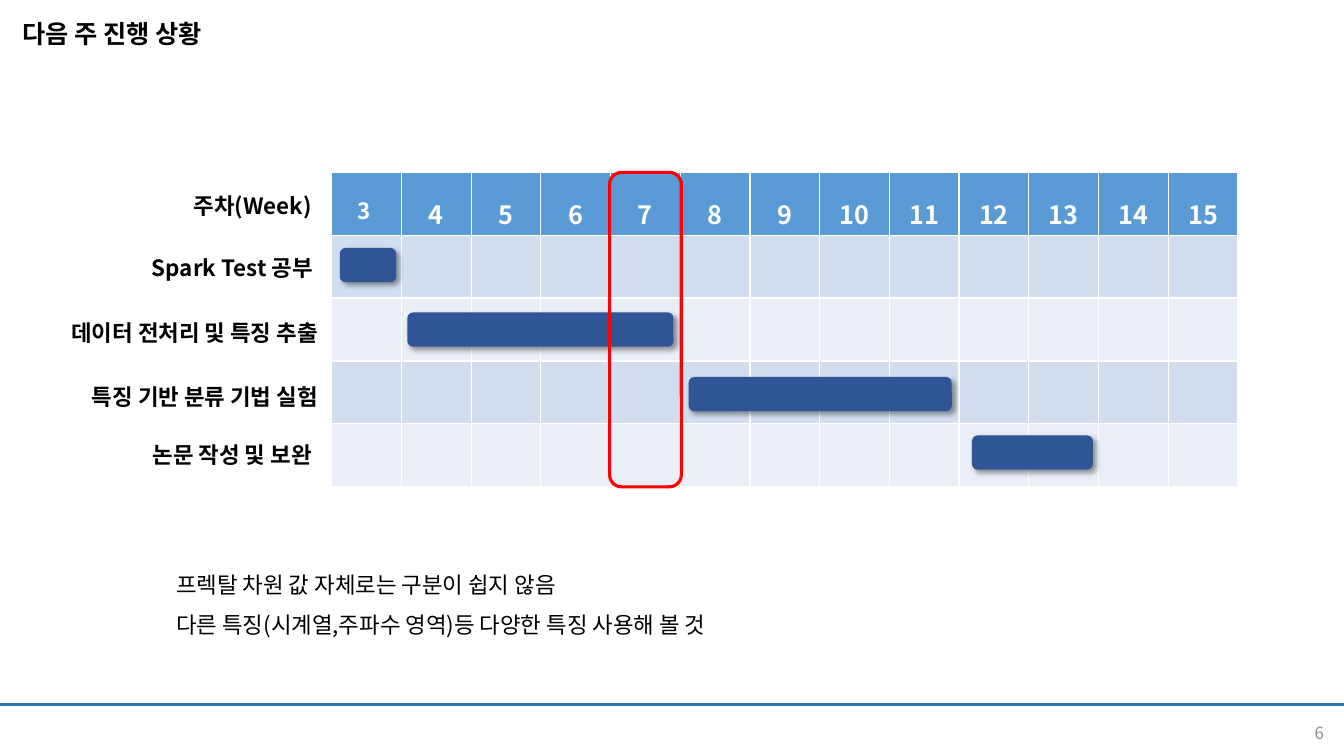
"""Builds the weekly schedule slide: a Gantt table with task bars and notes."""
from dataclasses import dataclass

from lxml import etree
from pptx import Presentation
from pptx.dml.color import RGBColor
from pptx.enum.shapes import MSO_CONNECTOR, MSO_SHAPE
from pptx.enum.text import MSO_ANCHOR, MSO_AUTO_SIZE, PP_ALIGN
from pptx.oxml import parse_xml
from pptx.oxml.ns import nsdecls, qn
from pptx.util import Inches, Pt

LEFT, CENTER, RIGHT = PP_ALIGN.LEFT, PP_ALIGN.CENTER, PP_ALIGN.RIGHT
TOP, MIDDLE = MSO_ANCHOR.TOP, MSO_ANCHOR.MIDDLE
ROUNDED = MSO_SHAPE.ROUNDED_RECTANGLE


@dataclass(frozen=True)
class Theme:
    """Colours, font and type sizes of the slide."""
    font: str = "Noto Sans CJK KR"
    text: str = "000000"
    white: str = "FFFFFF"
    muted: str = "8C8C8C"
    rule: str = "2E75B6"
    header: str = "5B9BD5"
    bands: tuple = ("D2DEEF", "EAEFF7")
    bar: str = "2F5597"
    highlight: str = "FF0000"
    large: int = 18
    body: int = 16
    small: int = 12
    line: float = 2.25


THEME = Theme()
TITLE = "다음 주 진행 상황"
PAGE_NUMBER = "6"
WEEKS = ["3 "] + [str(week) for week in range(4, 16)]
CURRENT_WEEK = "7"
LABELS = [
    ("주차(Week)", 3.19, 1.86),
    ("Spark Test 공부", 3.2, 2.47),
    ("데이터 전처리 및 특징 추출", 3.25, 3.12),
    ("특징 기반 분류 기법 실험", 3.25, 3.75),
    ("논문 작성 및 보완", 3.19, 4.33),
]
BARS = [(3.37, 2.46, 0.56), (4.04, 3.1, 2.64), (6.83, 3.74, 2.61), (9.64, 4.32, 1.2)]
NOTES = [
    "프렉탈 차원 값 자체로는 구분이 쉽지 않음",
    "다른 특징(시계열,주파수 영역)등 다양한 특징 사용해 볼 것",
]
TABLE_LEFT, TABLE_TOP, TABLE_WIDTH, TABLE_HEIGHT = 3.29, 1.71, 8.99, 3.12
LABEL_WIDTH, LABEL_HEIGHT, BAR_HEIGHT = 2.82, 0.37, 0.34
SHADOW = (
    f'<a:effectLst {nsdecls("a")}><a:outerShdw blurRad="{Pt(4)}" dist="{Pt(3)}" '
    'dir="2700000" algn="tl" rotWithShape="0"><a:srgbClr val="000000">'
    '<a:alpha val="40000"/></a:srgbClr></a:outerShdw></a:effectLst>'
)


def color(value):
    """Turn a hex string into a colour."""
    return RGBColor.from_string(value)


def write(frame, lines, size=THEME.body, ink=THEME.text, bold=False,
          align=LEFT, spacing=1.0):
    """Fill a text frame with one formatted paragraph per line."""
    for index, line in enumerate(lines):
        paragraph = frame.add_paragraph() if index else frame.paragraphs[0]
        paragraph.alignment = align
        paragraph.line_spacing = spacing
        run = paragraph.add_run()
        run.text = line
        run.font.name = THEME.font
        run.font.size = Pt(size)
        run.font.bold = bold
        run.font.color.rgb = color(ink)
        east_asian = etree.SubElement(run.font._element, qn("a:ea"))
        east_asian.set("typeface", THEME.font)


def add_text(slide, box, lines, anchor=TOP, **text_format):
    """Add a wrapping text box."""
    frame = slide.shapes.add_textbox(*map(Inches, box)).text_frame
    frame.word_wrap = True
    frame.vertical_anchor = anchor
    write(frame, lines, **text_format)


def add_title(slide):
    """Place and format the title placeholder."""
    title = slide.shapes.title
    title.left, title.top, title.width, title.height = map(Inches, (0.12, 0.13, 4.24, 0.4))
    title.text_frame.auto_size = MSO_AUTO_SIZE.NONE
    title.text_frame.vertical_anchor = TOP
    write(title.text_frame, [TITLE], size=THEME.large, bold=True)


def add_rule(slide):
    """Draw the footer rule across the slide."""
    ends = map(Inches, (0, 6.99, 13.33, 6.99))
    rule = slide.shapes.add_connector(MSO_CONNECTOR.STRAIGHT, *ends)
    rule.line.color.rgb = color(THEME.rule)
    rule.line.width = Pt(THEME.line)
    etree.SubElement(rule._element.spPr, qn("a:effectLst"))


def add_schedule(slide):
    """Add the week grid with its header and banded rows."""
    box = map(Inches, (TABLE_LEFT, TABLE_TOP, TABLE_WIDTH, TABLE_HEIGHT))
    table = slide.shapes.add_table(len(LABELS), len(WEEKS), *box).table
    for row_index, row in enumerate(table.rows):
        fill = THEME.bands[(row_index - 1) % 2] if row_index else THEME.header
        for cell in row.cells:
            cell.fill.solid()
            cell.fill.fore_color.rgb = color(fill)
    for column, week in enumerate(WEEKS):
        size = THEME.large if column else THEME.body
        write(table.cell(0, column).text_frame, [week], size=size, ink=THEME.white,
              bold=True, align=CENTER, spacing=1.5)


def add_bar(slide, left, top, width):
    """Add one task bar with a soft shadow."""
    box = map(Inches, (left, top, width, BAR_HEIGHT))
    bar = slide.shapes.add_shape(ROUNDED, *box)
    bar.fill.solid()
    bar.fill.fore_color.rgb = color(THEME.bar)
    bar.line.fill.background()
    bar._element.spPr.append(parse_xml(SHADOW))


def add_highlight(slide):
    """Outline the column of the current week."""
    column_width = TABLE_WIDTH / len(WEEKS)
    left = TABLE_LEFT + WEEKS.index(CURRENT_WEEK) * column_width - 0.01
    box = map(Inches, (left, TABLE_TOP, column_width + 0.02, TABLE_HEIGHT))
    frame = slide.shapes.add_shape(ROUNDED, *box)
    frame.shadow.inherit = False
    frame.fill.background()
    frame.line.color.rgb = color(THEME.highlight)
    frame.line.width = Pt(THEME.line)


presentation = Presentation()
presentation.slide_width, presentation.slide_height = Inches(13.33), Inches(7.5)
slide = presentation.slides.add_slide(presentation.slide_layouts[5])
add_title(slide)
add_text(slide, (12.78, 7.07, 0.45, 0.4), [PAGE_NUMBER], anchor=MIDDLE,
         size=THEME.small, ink=THEME.muted, align=RIGHT)
add_rule(slide)
add_schedule(slide)
for label, right, top in LABELS:
    add_text(slide, (right - LABEL_WIDTH, top, LABEL_WIDTH, LABEL_HEIGHT), [label],
             bold=True, align=RIGHT)
for bar_box in BARS:
    add_bar(slide, *bar_box)
add_highlight(slide)
add_text(slide, (1.65, 5.48, 6.14, 0.86), NOTES, spacing=1.5)
presentation.save("out.pptx")
